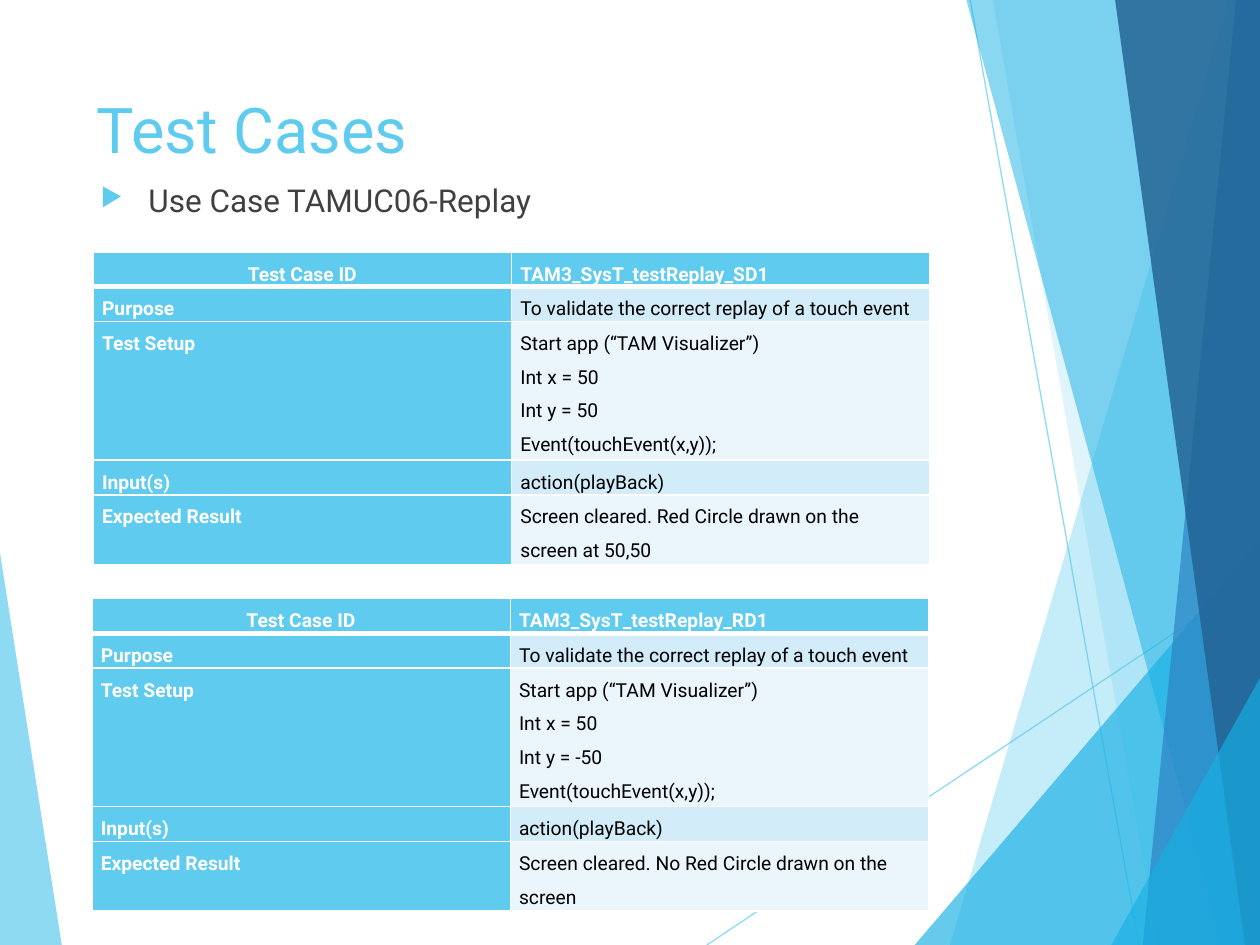
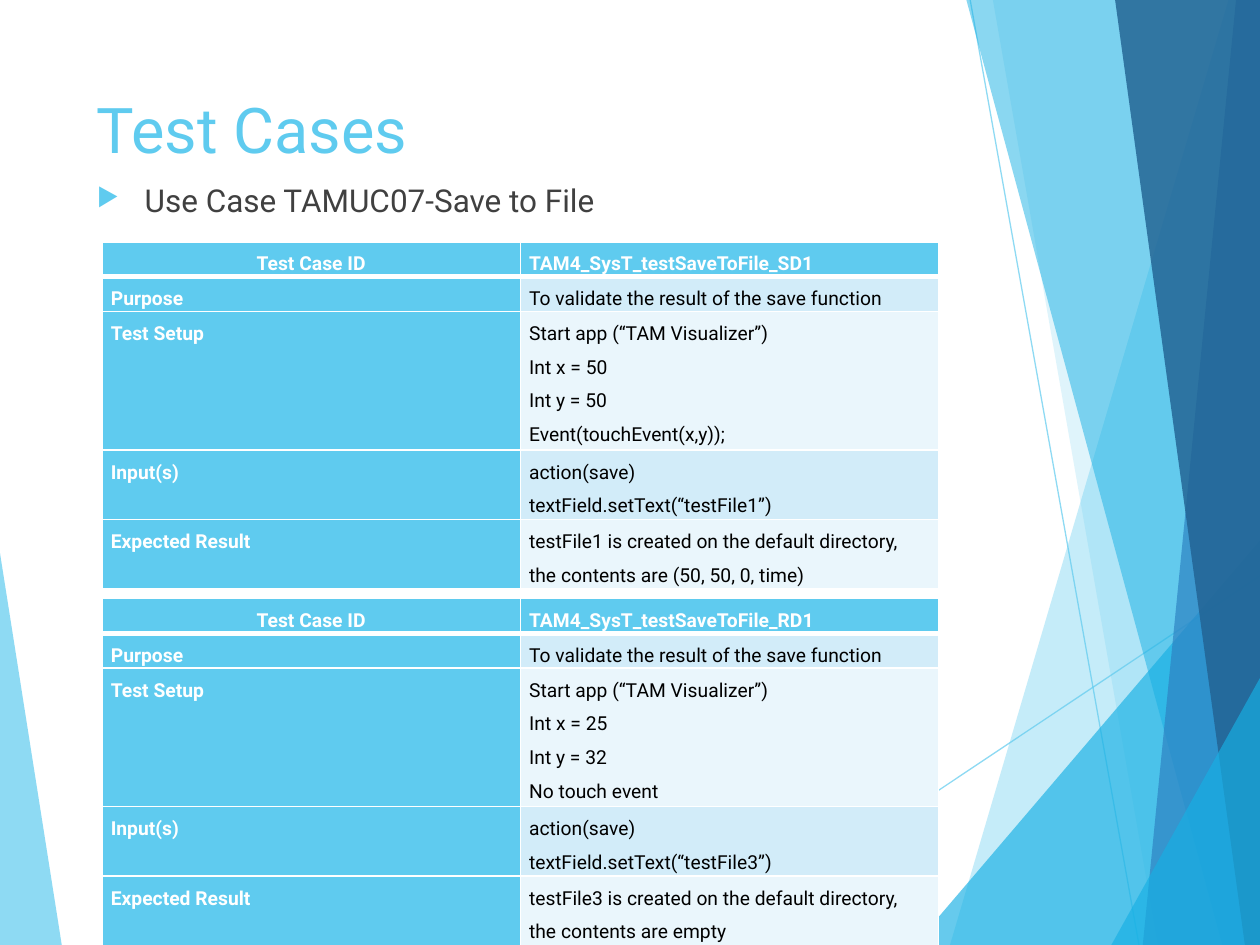
"""Build two slides that list the replay and save-to-file test cases."""
from dataclasses import dataclass
from math import ceil

from lxml.etree import SubElement
from pptx import Presentation
from pptx.dml.color import RGBColor
from pptx.enum.shapes import MSO_CONNECTOR
from pptx.enum.text import MSO_ANCHOR, PP_ALIGN
from pptx.oxml.ns import qn
from pptx.util import Pt

EMU_PER_PX = 9144
SLIDE_WIDTH, SLIDE_HEIGHT = 1000, 750
FONT = "Roboto"
COLORS = {
    "sky": "5FCBEF",
    "cyan": "17B0E4",
    "blue": "2E83C3",
    "navy": "226292",
    "body": "404040",
    "white": "FFFFFF",
    "black": "000000",
    "band_dark": "D2ECF9",
    "band_light": "EAF6FC",
}
COLUMN_WIDTH = 332
LINE_HEIGHT = 26
CELL_INSET = 7
CHARS_PER_LINE = 48
BULLET_INDENT = 38
APP_START = "Start app (“TAM Visualizer”)"
TOUCH = "Event(touchEvent(x,y));"


@dataclass(frozen=True)
class Facet:
    """A translucent polygon of the background."""
    color: str
    opacity: int
    corners: tuple[tuple[int, int], ...]


@dataclass(frozen=True)
class Ray:
    """A thin translucent line of the background."""
    start: tuple[int, int]
    end: tuple[int, int]


@dataclass(frozen=True)
class TestCase:
    """One test case and the place of its table."""
    left: int
    top: int
    case_id: str
    purpose: str
    setup: tuple[str, ...]
    inputs: tuple[str, ...]
    expected: str

    def rows(self) -> list[tuple[str, tuple[str, ...]]]:
        """Return each row label with its lines of text."""
        return [
            ("Test Case ID", (self.case_id,)),
            ("Purpose", (self.purpose,)),
            ("Test Setup", self.setup),
            ("Input(s)", self.inputs),
            ("Expected Result", (self.expected,)),
        ]


@dataclass(frozen=True)
class UseCase:
    """One slide: a use case with its test cases."""
    heading: str
    heading_left: int
    test_cases: tuple[TestCase, ...]


RAYS = (Ray((561, 750), (1000, 457)), Ray((770, 0), (904, 750)))
LEFT_FACET = Facet("sky", 70, ((0, 439), (49, 750), (0, 750)))
RIGHT_FACETS = (
    Facet("sky", 36, ((975, 0), (754, 750), (1000, 750), (1000, 0))),
    Facet("sky", 20, ((788, 0), (919, 750), (1000, 750), (1000, 0))),
    Facet("cyan", 66, ((726, 750), (1000, 429), (1000, 750))),
    Facet("cyan", 50, ((767, 0), (970, 750), (1000, 750), (1000, 0))),
    Facet("blue", 70, ((981, 0), (907, 750), (1000, 750), (1000, 0))),
    Facet("navy", 82, ((885, 0), (988, 750), (1000, 750), (1000, 0))),
    Facet("cyan", 66, ((882, 750), (1000, 538), (1000, 750))),
)
REPLAY_PURPOSE = "To validate the correct replay of a touch event"
SAVE_PURPOSE = "To validate the result of the save function"
USE_CASES = (
    UseCase("Use Case TAMUC06-Replay", 70, (
        TestCase(74, 200, "TAM3_SysT_testReplay_SD1", REPLAY_PURPOSE,
                 (APP_START, "Int x = 50", "Int y = 50", TOUCH),
                 ("action(playBack)",),
                 "Screen cleared. Red Circle drawn on the screen at 50,50"),
        TestCase(73, 475, "TAM3_SysT_testReplay_RD1", REPLAY_PURPOSE,
                 (APP_START, "Int x = 50", "Int y = -50", TOUCH),
                 ("action(playBack)",),
                 "Screen cleared. No Red Circle drawn on the screen"),
    )),
    UseCase("Use Case TAMUC07-Save to File", 67, (
        TestCase(81, 192, "TAM4_SysT_testSaveToFile_SD1", SAVE_PURPOSE,
                 (APP_START, "Int x = 50", "Int y = 50", TOUCH),
                 ("action(save)", "textField.setText(“testFile1”)"),
                 "testFile1 is created on the default directory, "
                 "the contents are (50, 50, 0, time)"),
        TestCase(81, 475, "TAM4_SysT_testSaveToFile_RD1", SAVE_PURPOSE,
                 (APP_START, "Int x = 25", "Int y = 32", "No touch event"),
                 ("action(save)", "textField.setText(“testFile3”)"),
                 "testFile3 is created on the default directory, "
                 "the contents are empty"),
    )),
)


def px(length: int) -> int:
    """Turn px into EMU."""
    return length * EMU_PER_PX


def rgb(name: str) -> RGBColor:
    """Look up a named colour."""
    return RGBColor.from_string(COLORS[name])


def set_opacity(shape, percent: int) -> None:
    """Make the colours of a shape translucent."""
    for color in list(shape.element.spPr.iter(qn("a:srgbClr"))):
        SubElement(color, qn("a:alpha"), val=str(percent * 1000))


def style_paragraph(paragraph, size: int, color: str, bold: bool = False) -> None:
    """Format the runs of a paragraph."""
    for run in paragraph.runs:
        run.font.name = FONT
        run.font.size = Pt(size)
        run.font.bold = bold
        run.font.color.rgb = rgb(color)


def draw_facet(slide, facet: Facet) -> None:
    """Draw one polygon of the background."""
    first, *others = facet.corners
    builder = slide.shapes.build_freeform(*first, scale=EMU_PER_PX)
    builder.add_line_segments(others, close=True)
    polygon = builder.convert_to_shape()
    polygon.shadow.inherit = False
    polygon.line.fill.background()
    polygon.fill.solid()
    polygon.fill.fore_color.rgb = rgb(facet.color)
    set_opacity(polygon, facet.opacity)


def draw_ray(slide, ray: Ray) -> None:
    """Draw one thin line of the background."""
    ends = (px(value) for value in ray.start + ray.end)
    line = slide.shapes.add_connector(MSO_CONNECTOR.STRAIGHT, *ends)
    line.line.width = Pt(0.75)
    line.line.color.rgb = rgb("sky")
    set_opacity(line, 70)
    SubElement(line.element.spPr, qn("a:effectLst"))


def draw_background(slide) -> None:
    """Draw the facets and rays that all slides share."""
    draw_facet(slide, LEFT_FACET)
    for ray in RAYS:
        draw_ray(slide, ray)
    for facet in RIGHT_FACETS:
        draw_facet(slide, facet)


def draw_text(slide, left: int, top: int, height: int, text: str, size: int, color: str):
    """Draw a line of text and return its paragraph."""
    box = slide.shapes.add_textbox(px(left), px(top), px(694), px(height))
    box.text_frame.word_wrap = True
    box.text_frame.vertical_anchor = MSO_ANCHOR.TOP
    paragraph = box.text_frame.paragraphs[0]
    paragraph.text = text
    style_paragraph(paragraph, size, color)
    return paragraph


def add_bullet(paragraph) -> None:
    """Give a paragraph a triangular bullet."""
    paragraph.space_before = Pt(10)
    properties = paragraph._p.get_or_add_pPr()
    properties.set("marL", str(px(BULLET_INDENT)))
    properties.set("indent", str(-px(BULLET_INDENT)))
    bullet_color = SubElement(properties, qn("a:buClr"))
    SubElement(bullet_color, qn("a:srgbClr"), val=COLORS["sky"])
    SubElement(properties, qn("a:buSzPct"), val="80000")
    SubElement(properties, qn("a:buChar"), char="▶")


def set_borders(cell, row: int) -> None:
    """Give a cell white borders, thick below the header row."""
    properties = cell._tc.get_or_add_tcPr()
    widths = {"lnL": 1, "lnR": 1, "lnT": 3 if row == 1 else 1, "lnB": 3 if row == 0 else 1}
    for side, width in widths.items():
        border = SubElement(properties, qn(f"a:{side}"), w=str(Pt(width)))
        border_fill = SubElement(border, qn("a:solidFill"))
        SubElement(border_fill, qn("a:srgbClr"), val=COLORS["white"])


def fill_cell(cell, row: int, column: int, lines: tuple[str, ...]) -> None:
    """Write and format one table cell."""
    is_heading = row == 0 or column == 0
    cell.margin_left = cell.margin_right = px(CELL_INSET)
    cell.margin_top = cell.margin_bottom = 0
    cell.text_frame.text = "\n".join(lines)
    for paragraph in cell.text_frame.paragraphs:
        paragraph.line_spacing = 1.5
        paragraph.alignment = PP_ALIGN.CENTER if row == column == 0 else PP_ALIGN.LEFT
        style_paragraph(paragraph, 11, "white" if is_heading else "black", is_heading)
    set_borders(cell, row)
    band = "band_dark" if row % 2 else "band_light"
    cell.fill.solid()
    cell.fill.fore_color.rgb = rgb("sky" if is_heading else band)


def draw_test_case(slide, case: TestCase) -> None:
    """Draw the table of one test case."""
    rows = case.rows()
    counts = [sum(ceil(len(line) / CHARS_PER_LINE) for line in lines) for _, lines in rows]
    frame = slide.shapes.add_table(
        len(rows), 2, px(case.left), px(case.top),
        px(2 * COLUMN_WIDTH), px(LINE_HEIGHT * sum(counts)))
    for row, (label, lines) in enumerate(rows):
        frame.table.rows[row].height = px(LINE_HEIGHT * counts[row])
        for column, content in enumerate(((label,), lines)):
            fill_cell(frame.table.cell(row, column), row, column, content)


def draw_use_case(slide, use_case: UseCase) -> None:
    """Draw one whole slide."""
    draw_background(slide)
    draw_text(slide, 67, 67, 144, "Test Cases", 36, "sky")
    heading = draw_text(slide, use_case.heading_left, 139, 424, use_case.heading, 18, "body")
    add_bullet(heading)
    for case in use_case.test_cases:
        draw_test_case(slide, case)


def main() -> None:
    """Build and save the presentation."""
    presentation = Presentation()
    presentation.slide_width = px(SLIDE_WIDTH)
    presentation.slide_height = px(SLIDE_HEIGHT)
    for use_case in USE_CASES:
        draw_use_case(presentation.slides.add_slide(presentation.slide_layouts[6]), use_case)
    presentation.save("out.pptx")


if __name__ == "__main__":
    main()
